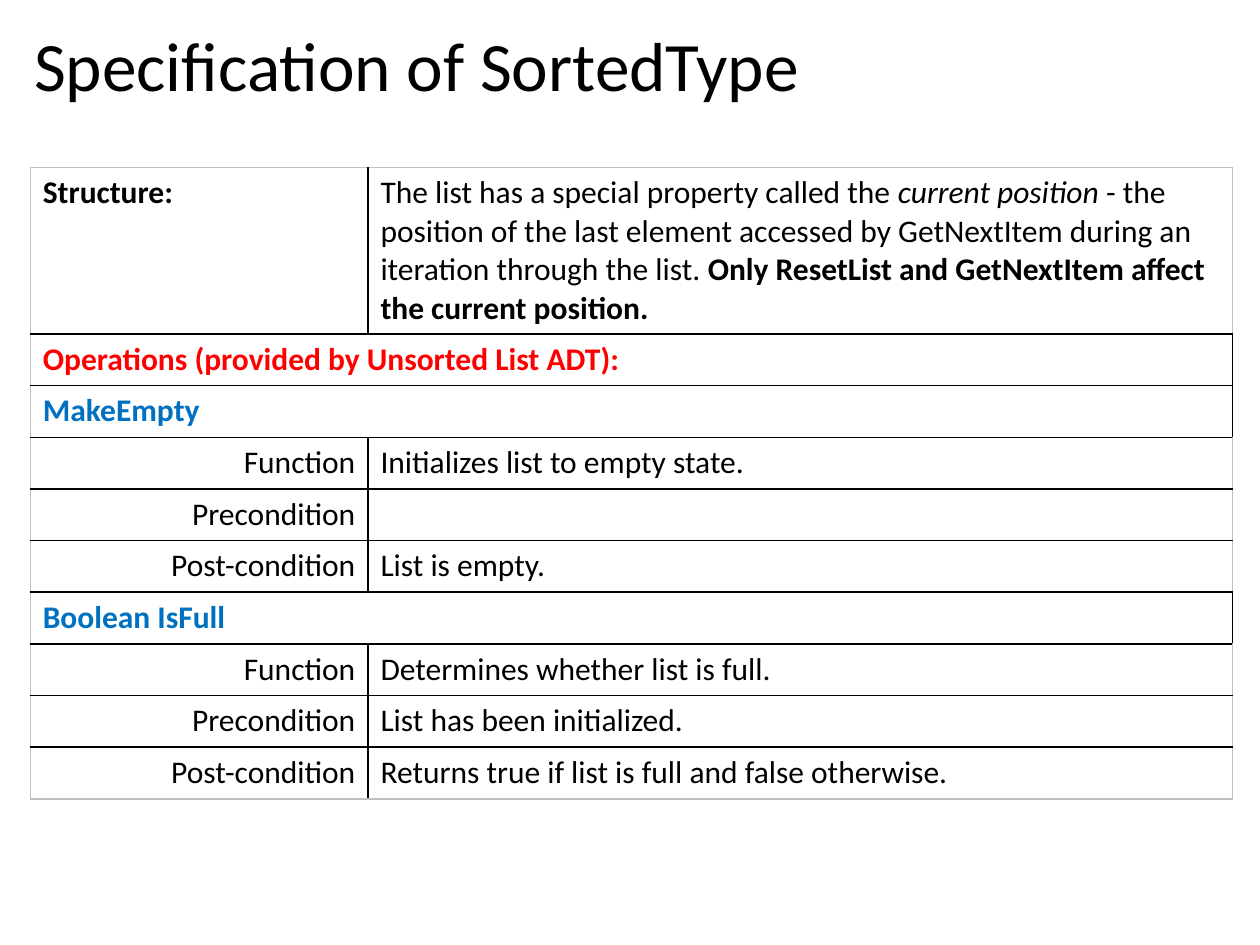
from lxml import etree
from pptx import Presentation
from pptx import util as u
from pptx.dml.color import RGBColor
from pptx.enum import text as t
from pptx.oxml import ns

INK, RED, BLUE, GREY = "000000", "FF0000", "0070C0", "BFBFBF"
TITLE = "Specification of SortedType"
STRUCT = [
    ("The list has a special property called the ", {}),
    ("current position ", {"ital": True}),
    ("- the position of the last element accessed by GetNextItem during an "
     "iteration through the list. ", {}),
    ("Only ResetList and GetNextItem affect the current position.", {"bold": True}),
]
OPS = [
    ("MakeEmpty", ["Initializes list to empty state.", "", "List is empty."]),
    ("Boolean IsFull", ["Determines whether list is full.", "List has been initialized.",
                        "Returns true if list is full and false otherwise."]),
]
PARTS = ["Function", "Precondition", "Post-condition"]
LEFT, TOP, COLS = 0.24, 1.33, [2.68, 6.86]
HIGH, ROW = 1.32, 0.41


def paint(color, value):
    color.rgb = RGBColor.from_string(value)


def write(para, words, size=18, color=INK, bold=False, ital=False, align=t.PP_ALIGN.LEFT):
    para.alignment = align
    run = para.add_run()
    run.text = words
    font = run.font
    font.name, font.size, font.bold, font.italic = "Calibri", u.Pt(size), bold, ital
    paint(font.color, color)


def edge(cell, side, color):
    props = cell._tc.get_or_add_tcPr()
    line = etree.SubElement(props, ns.qn("a:ln" + side), w=str(u.Pt(1)))
    fill = etree.SubElement(line, ns.qn("a:solidFill"))
    etree.SubElement(fill, ns.qn("a:srgbClr"), val=color)


def frame(table):
    last = len(table.rows) - 1
    for r, row in enumerate(table.rows):
        for c, cell in enumerate(row.cells):
            outer = {"L": c == 0, "R": c == 1, "T": r == 0, "B": r == last}
            for side, out in outer.items():
                edge(cell, side, GREY if out else INK)
            cell.fill.background()


def main():
    deck = Presentation()
    deck.slide_width, deck.slide_height = u.Inches(10), u.Inches(7.5)
    slide = deck.slides.add_slide(deck.slide_layouts[5])

    title = slide.shapes.title
    title.left, title.top = u.Inches(0.17), u.Inches(0.18)
    title.width, title.height = u.Inches(9.62), u.Inches(0.74)
    title.text_frame.vertical_anchor = t.MSO_ANCHOR.MIDDLE
    head = title.text_frame.paragraphs[0]
    head.line_spacing = 0.9
    write(head, TITLE, size=39.6)

    rows = [("Structure:", STRUCT, INK),
            ("Operations (provided by Unsorted List ADT):", None, RED)]
    for name, notes in OPS:
        rows.append((name, None, BLUE))
        rows += [(part, [(note, {})], None) for part, note in zip(PARTS, notes)]

    tall = HIGH + ROW * (len(rows) - 1)
    table = slide.shapes.add_table(len(rows), 2, u.Inches(LEFT), u.Inches(TOP),
                                   u.Inches(sum(COLS)), u.Inches(tall)).table
    table.first_row = table.horz_banding = False
    for col, wide in zip(table.columns, COLS):
        col.width = u.Inches(wide)
    frame(table)
    for r, (label, body, color) in enumerate(rows):
        table.rows[r].height = u.Inches(ROW if r else HIGH)
        left, right = table.cell(r, 0), table.cell(r, 1)
        para = left.text_frame.paragraphs[0]
        if color:
            write(para, label, color=color, bold=True)
        else:
            write(para, label, align=t.PP_ALIGN.RIGHT)
        if body is None:
            left.merge(right)
            continue
        for words, style in body:
            if words:
                write(right.text_frame.paragraphs[0], words, **style)

    deck.save("out.pptx")


if __name__ == "__main__":
    main()
